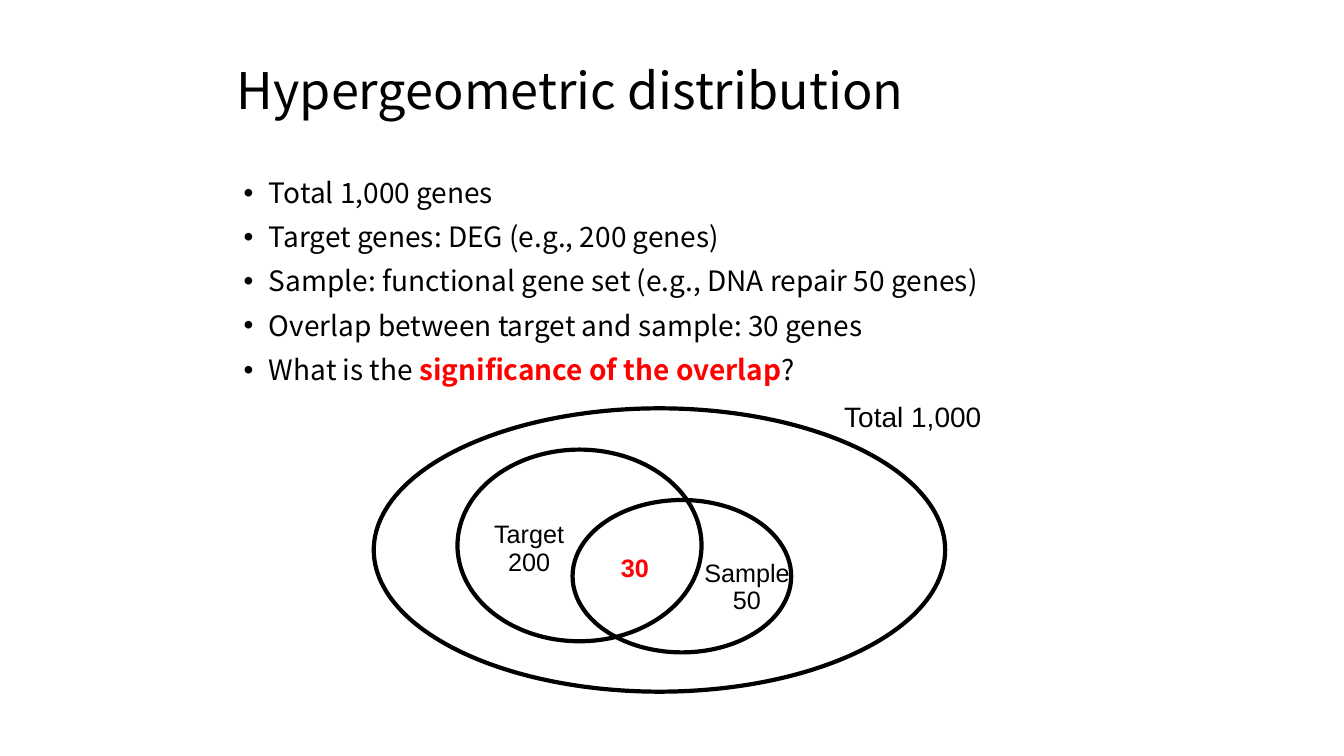
from dataclasses import dataclass

from lxml import etree
from pptx import Presentation
from pptx import util as u
from pptx.dml.color import RGBColor
from pptx.enum import shapes, text
from pptx.oxml.ns import qn


@dataclass(frozen=True)
class Theme:
    ink: RGBColor = RGBColor(0, 0, 0)
    accent: RGBColor = RGBColor(255, 0, 0)
    heading_font: str = "Noto Sans CJK KR"
    label_font: str = "Arial"
    title_size: int = 36
    body_size: int = 20
    set_size: int = 18
    outline: int = 3


theme = Theme()


def add_text(place, content, font, size, color=theme.ink, bold=False):
    """Add a text box whose lines become paragraphs, and return its frame."""
    frame = slide.shapes.add_textbox(*map(u.Cm, place)).text_frame
    frame.word_wrap = True
    frame.text = content
    for paragraph in frame.paragraphs:
        paragraph.line_spacing = 0.9
        for run in paragraph.runs:
            run.font.name = font
            run.font.size = u.Pt(size)
            run.font.color.rgb = color
            run.font.bold = bold
    return frame


deck = Presentation()
deck.slide_width, deck.slide_height = u.Cm(33.87), u.Cm(19.05)
slide = deck.slides.add_slide(deck.slide_layouts[6])

title = add_text((5.72, 1.04, 22.94, 2.64), "Hypergeometric distribution",
                 theme.heading_font, theme.title_size)
title.vertical_anchor = text.MSO_ANCHOR.MIDDLE

facts = [
    "Total 1,000 genes",
    "Target genes: DEG (e.g., 200 genes)",
    "Sample: functional gene set (e.g., DNA repair 50 genes)",
    "Overlap between target and sample: 30 genes",
    "What is the ",
]
body = add_text((5.89, 4.39, 22.05, 12.29), "\n".join(facts),
                theme.heading_font, theme.body_size)
question = body.paragraphs[-1]
for words, color, bold in [("significance of the overlap", theme.accent, True),
                           ("?", theme.ink, False)]:
    run = question.add_run()
    run.text = words
    run.font.name = theme.heading_font
    run.font.size = u.Pt(theme.body_size)
    run.font.color.rgb = color
    run.font.bold = bold

for fact in body.paragraphs:
    fact.space_before = u.Pt(10)
    properties = fact._p.get_or_add_pPr()
    properties.set("marL", str(u.Cm(0.64)))
    properties.set("indent", str(-u.Cm(0.64)))
    etree.SubElement(properties, qn("a:buFont"), typeface=theme.label_font)
    etree.SubElement(properties, qn("a:buChar"), char="•")

total_set = (9.42, 10.29, 14.4, 7.14)
sample_set = (14.43, 12.6, 5.51, 3.84)
target_set = (11.53, 11.33, 6.15, 4.83)
for place in (total_set, sample_set, target_set):
    gene_set = slide.shapes.add_shape(shapes.MSO_SHAPE.OVAL, *map(u.Cm, place))
    gene_set.shadow.inherit = False
    gene_set.fill.background()
    gene_set.line.color.rgb = theme.ink
    gene_set.line.width = u.Pt(theme.outline)

set_labels = [
    ((21.01, 10.03, 3.99, 1.02), "Total 1,000", theme.body_size, theme.ink, False),
    ((17.48, 14.0, 2.69, 1.65), "Sample\n50", theme.set_size, theme.ink, False),
    ((12.19, 13.03, 2.29, 1.65), "Target\n200", theme.set_size, theme.ink, False),
    ((15.39, 13.87, 1.22, 0.97), "30", theme.set_size, theme.accent, True),
]
for place, words, size, color, bold in set_labels:
    label = add_text(place, words, theme.label_font, size, color, bold)
    label.word_wrap = False
    label.auto_size = text.MSO_AUTO_SIZE.SHAPE_TO_FIT_TEXT
    for line in label.paragraphs:
        line.alignment = text.PP_ALIGN.CENTER

deck.save("out.pptx")
